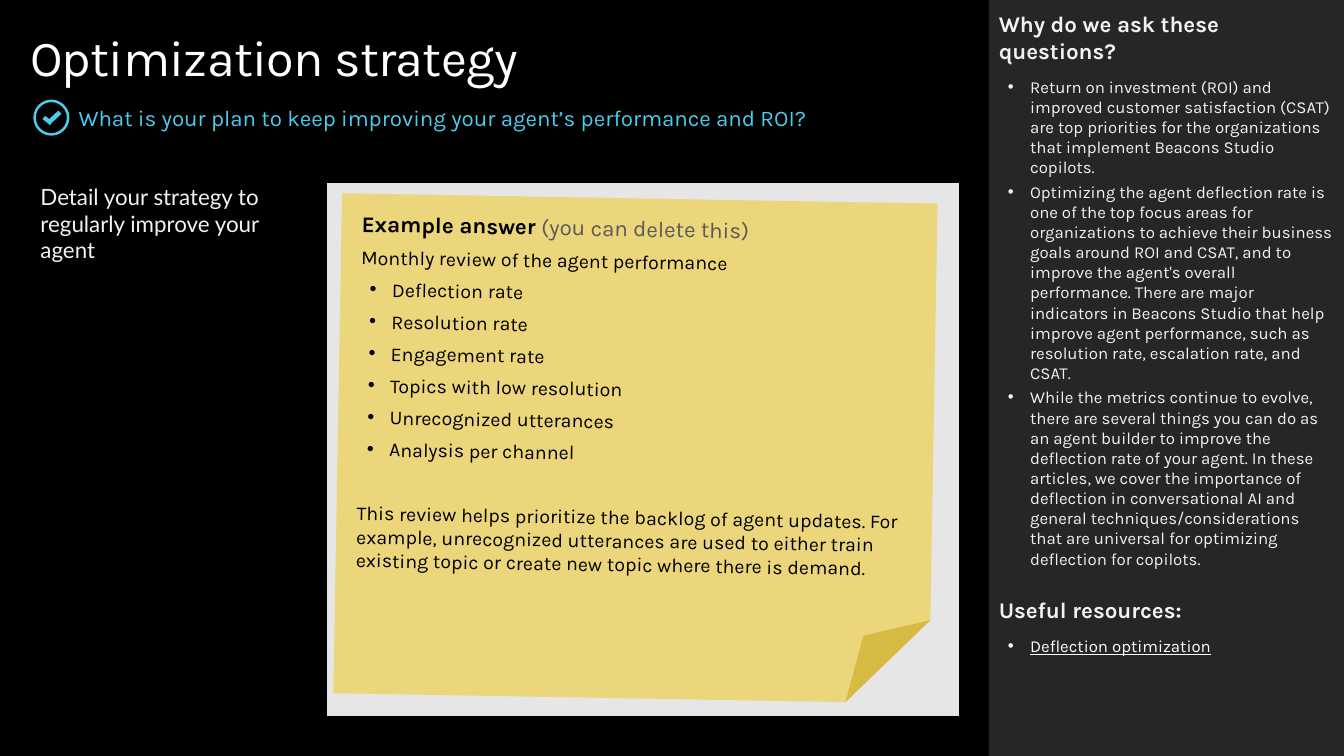
from dataclasses import dataclass

from lxml import etree
from pptx import Presentation
from pptx import util as u
from pptx.dml.color import RGBColor
from pptx.enum import shapes, text
from pptx.oxml.ns import qn


@dataclass(frozen=True)
class Theme:
    font: str = "Karla"
    table_font: str = "Lato"
    background: str = "000000"
    panel: str = "262626"
    accent: str = "4CCBED"
    white: str = "FFFFFF"
    light: str = "F2F2F2"
    answer: str = "E6E6E6"
    note: str = "F2C811"
    ink: str = "000000"
    muted: str = "595959"
    title: int = 36
    heading: int = 16
    body: int = 14
    small: int = 12


@dataclass
class Run:
    text: str
    size: int
    color: str
    bold: bool = False
    underline: bool = False
    font: str = Theme.font


@dataclass
class Para:
    runs: list
    bullet: bool = False
    before: float = 0
    after: float = 0


def rgb(value):
    return RGBColor.from_string(value)


def cm(*values):
    return [u.Cm(v) for v in values]


class SlideBuilder:
    def __init__(self, prs, theme):
        self.theme = theme
        self.slide = prs.slides.add_slide(prs.slide_layouts[3])
        fill = self.slide.background.fill
        fill.solid()
        fill.fore_color.rgb = rgb(theme.background)

    def fill_text(self, tf, paras, insets=(0, 0, 0, 0), anchor=text.MSO_ANCHOR.TOP):
        """Fill a text frame; insets run left, top, right, bottom."""
        tf.word_wrap = True
        tf.auto_size = text.MSO_AUTO_SIZE.NONE
        tf.vertical_anchor = anchor
        tf.margin_left, tf.margin_top, tf.margin_right, tf.margin_bottom = cm(*insets)
        for i, para in enumerate(paras):
            p = tf.add_paragraph() if i else tf.paragraphs[0]
            p.alignment = text.PP_ALIGN.LEFT
            p.space_before, p.space_after = u.Pt(para.before), u.Pt(para.after)
            self.set_bullet(p, para.bullet)
            for run in para.runs:
                self.add_run(p, run)

    def set_bullet(self, p, bullet):
        pPr = p._p.get_or_add_pPr()
        left, indent = cm(0.79, -0.56) if bullet else (0, 0)
        pPr.set("marL", str(left))
        pPr.set("indent", str(indent))
        if bullet:
            etree.SubElement(pPr, qn("a:buFont"), typeface="Arial")
            etree.SubElement(pPr, qn("a:buChar"), char="•")
        else:
            etree.SubElement(pPr, qn("a:buNone"))

    def add_run(self, p, run):
        r = p.add_run()
        r.text = run.text
        r.font.name = run.font
        r.font.size = u.Pt(run.size)
        r.font.bold = run.bold
        r.font.underline = run.underline
        r.font.color.rgb = rgb(run.color)

    def placeholder(self, idx, box, paras, **layout):
        sp = self.slide.placeholders[idx]
        sp.left, sp.top, sp.width, sp.height = cm(*box)
        self.fill_text(sp.text_frame, paras, **layout)
        return sp

    def paint(self, sp, color):
        sp.shadow.inherit = False
        sp.fill.solid()
        sp.fill.fore_color.rgb = rgb(color)
        sp.line.fill.background()

    def shape(self, kind, box, color):
        sp = self.slide.shapes.add_shape(kind, *cm(*box))
        self.paint(sp, color)
        return sp

    def panel(self, box, color):
        """Add a rectangle behind everything else."""
        sp = self.shape(shapes.MSO_SHAPE.RECTANGLE, box, color)
        self.slide.shapes._spTree.insert(2, sp._element)

    def check_icon(self, left, top, size, tick):
        ring = self.shape(shapes.MSO_SHAPE.DONUT, (left, top, size, size), self.theme.accent)
        ring.adjustments[0] = 0.07
        start, *rest = [cm(*point) for point in tick]
        builder = self.slide.shapes.build_freeform(*start)
        builder.add_line_segments(rest, close=True)
        self.paint(builder.convert_to_shape(), self.theme.accent)

    def answer_table(self, box, widths, prompt):
        table = self.slide.shapes.add_table(1, len(widths), *cm(*box)).table
        table.first_row = table.horz_banding = False
        style = table._tbl.tblPr.find(qn("a:tableStyleId"))
        style.text = "{2D5ABB26-0587-4C30-8999-92F81FD0307C}"
        for column, width in zip(table.columns, widths):
            column.width = u.Cm(width)
        question, answer = table.rows[0].cells
        question.fill.background()
        answer.fill.solid()
        answer.fill.fore_color.rgb = rgb(self.theme.answer)
        question.margin_left = question.margin_top = question.margin_bottom = 0
        question.margin_right = u.Cm(0.25)
        self.add_run(question.text_frame.paragraphs[0], prompt)
        for cell in (question, answer):
            tcPr = cell._tc.get_or_add_tcPr()
            border = etree.Element(qn("a:lnB"), w=str(u.Pt(6)))
            fill = etree.SubElement(border, qn("a:solidFill"))
            etree.SubElement(fill, qn("a:srgbClr"), val=self.theme.background)
            tcPr.insert(0, border)

    def sticky_note(self, box, paras):
        sp = self.shape(shapes.MSO_SHAPE.FOLDED_CORNER, box, self.theme.note)
        sp.rotation = 1
        color = sp._element.spPr.find(qn("a:solidFill")).find(qn("a:srgbClr"))
        etree.SubElement(color, qn("a:alpha"), val="50000")
        self.fill_text(sp.text_frame, paras, insets=(0.51, 0.41, 0.51, 0.41))


REASONS = [
    "Return on investment (ROI) and improved customer satisfaction (CSAT) are top priorities "
    "for the organizations that implement Beacons Studio copilots.",
    "Optimizing the agent deflection rate is one of the top focus areas for organizations to "
    "achieve their business goals around ROI and CSAT, and to improve the agent's overall "
    "performance. There are major indicators in Beacons Studio that help improve agent "
    "performance, such as resolution rate, escalation rate, and CSAT.",
    "While the metrics continue to evolve, there are several things you can do as an agent "
    "builder to improve the deflection rate of your agent. In these articles, we cover the "
    "importance of deflection in conversational AI and general techniques/considerations "
    "that are universal for optimizing deflection for copilots.",
]
METRICS = ["Deflection rate", "Resolution rate", "Engagement rate",
           "Topics with low resolution", "Unrecognized utterances", "Analysis per channel"]
REVIEW = ("This review helps prioritize the backlog of agent updates. For example, unrecognized "
          "utterances are used to either train existing topic or create new topic where there "
          "is demand.")
TICK = [(1.47, 2.79), (1.24, 3), (1.14, 2.92), (1.07, 3), (1.22, 3.12),
        (1.26, 3.16), (1.3, 3.1), (1.55, 2.87)]


def main():
    prs = Presentation()
    prs.slide_width, prs.slide_height = cm(33.87, 19.05)
    t = Theme()
    s = SlideBuilder(prs, t)

    s.panel((24.92, 0, 8.95, 19.05), t.panel)
    title = s.placeholder(0, (0.76, 0.66, 23.39, 1.55),
                          [Para([Run("Optimization strategy", t.title, t.white)])])
    title.text_frame.paragraphs[0].runs[0]._r.get_or_add_rPr().set("spc", "-50")
    question = "What is your plan to keep improving your agent’s performance and ROI?"
    s.placeholder(1, (1.98, 2.62, 22.17, 0.69),
                  [Para([Run(question, t.heading, t.accent)])], anchor=text.MSO_ANCHOR.MIDDLE)
    s.check_icon(0.84, 2.51, 0.91, TICK)

    def heading(words, before=0):
        return Para([Run(words, t.heading, t.light, bold=True)], before=before, after=6)

    reasons = [Para([Run(reason, t.small, t.light)], bullet=True, before=3) for reason in REASONS]
    resource = Run("Deflection optimization", t.small, t.white, underline=True)
    s.placeholder(2, (24.92, 0, 8.95, 15.24),
                  [heading("Why do we ask these questions?"), *reasons,
                   heading("Useful resources:", before=20),
                   Para([resource], bullet=True, before=3)],
                  insets=(0.25, 0.25, 0.25, 0.25))

    s.answer_table((1.02, 4.62, 23.14, 13.51), (7.21, 15.93),
                   Run("Detail your strategy to regularly improve your agent",
                       t.heading, t.light, font=t.table_font))

    def note_line(words, **layout):
        return Para([Run(words, t.body, t.ink)], after=6, **layout)

    s.sticky_note((8.51, 5, 15.01, 12.6), [
        Para([Run("Example answer ", t.heading, t.ink, bold=True),
              Run("(you can delete this)", t.heading, t.muted)], after=6),
        note_line("Monthly review of the agent performance"),
        *[note_line(metric, bullet=True) for metric in METRICS],
        note_line(REVIEW, before=23),
    ])
    prs.save("out.pptx")


if __name__ == "__main__":
    main()
